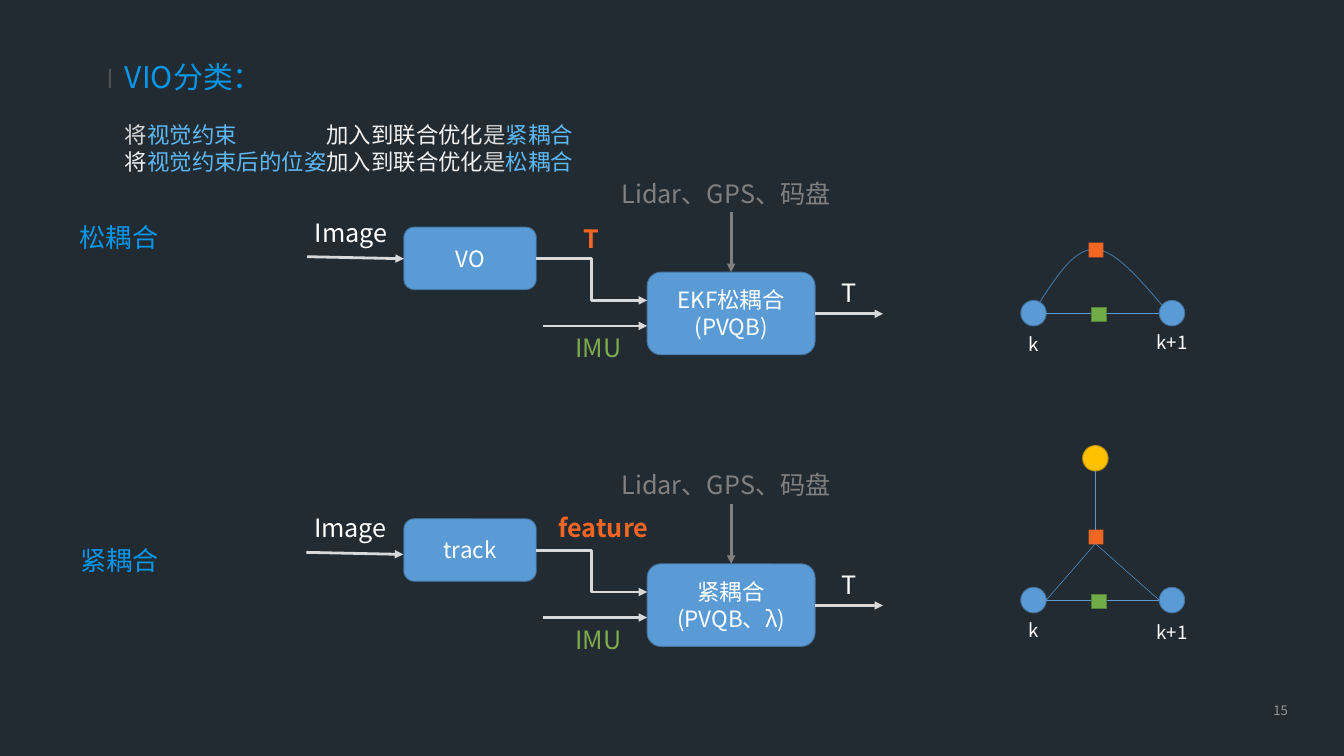
"""Build the slide on loosely and tightly coupled VIO."""
from lxml import etree
from pptx import Presentation
from pptx.dml.color import RGBColor
from pptx.enum.shapes import MSO_CONNECTOR, MSO_SHAPE
from pptx.enum.text import MSO_ANCHOR, MSO_AUTO_SIZE, PP_ALIGN
from pptx.oxml.ns import qn
from pptx.util import Inches, Pt

RECT, ROUND, OVAL = MSO_SHAPE.RECTANGLE, MSO_SHAPE.ROUNDED_RECTANGLE, MSO_SHAPE.OVAL
STRAIGHT, ELBOW = MSO_CONNECTOR.STRAIGHT, MSO_CONNECTOR.ELBOW
TOP, MIDDLE = MSO_ANCHOR.TOP, MSO_ANCHOR.MIDDLE
LEFT, CENTER = PP_ALIGN.LEFT, PP_ALIGN.CENTER
NO_FIT = MSO_AUTO_SIZE.NONE

FONT = "Noto Sans CJK SC"
NIGHT = RGBColor(0x22, 0x2B, 0x32)
WHITE = RGBColor(0xFF, 0xFF, 0xFF)
PALE = RGBColor(0xF2, 0xF2, 0xF2)
SILVER = RGBColor(0xD9, 0xD9, 0xD9)
GRAY = RGBColor(0x80, 0x80, 0x80)
AZURE = RGBColor(0x02, 0x96, 0xEB)
SKY = RGBColor(0x5D, 0xB8, 0xF6)
BLUE = RGBColor(0x5B, 0x9B, 0xD5)
NAVY = RGBColor(0x43, 0x73, 0x9E)
ORANGE = RGBColor(0xF2, 0x65, 0x22)
GREEN = RGBColor(0x70, 0xAD, 0x47)
FOREST = RGBColor(0x53, 0x80, 0x35)
LIME = RGBColor(0x7F, 0xAB, 0x4C)
GOLD = RGBColor(0xFF, 0xC0, 0x00)
BRONZE = RGBColor(0xBD, 0x8E, 0x00)

TITLE = "VIO分类："
SUMMARY = [
    [("将", SILVER), ("视觉约束\t", SKY), ("加入到联合优化", PALE), ("是", SILVER), ("紧耦合", SKY)],
    [("将", PALE), ("视觉约束后的位姿", SKY), ("加入到联合优化", PALE), ("是", SILVER), ("松耦合", SKY)],
]
HEADINGS = [("松耦合", 1.09, 3.34), ("紧耦合", 1.1, 8.16)]
FLOWS = [
    {"top": 2.6, "front": "VO", "back": ["EKF松耦合", "(PVQB)"],
     "signal": ("T", 8.5, 3.27, 0.61), "image": (4.44, 3.18)},
    {"top": 6.94, "front": "track", "back": ["紧耦合", "(PVQB、λ)"],
     "signal": ("feature", 7.99, 7.58, 1.98), "image": (4.43, 7.58)},
]
GRAPHS = [
    {"axis": 4.66, "vision": 3.61, "names": [("k", 15.08, 4.9, 0.61), ("k+1", 16.64, 4.87, 1.6)]},
    {"axis": 8.93, "vision": 7.88, "names": [("k", 15.08, 9.16, 0.61), ("k+1", 16.64, 9.19, 1.6)]},
]
CURVE = [(15.47, 4.5), (15.73, 4.1), (15.99, 3.7), (16.29, 3.71),
         (16.59, 3.72), (16.94, 4.13), (17.29, 4.54)]
NODE, FACTOR = 0.38, 0.22
NODE_LEFTS = (15.19, 17.25)
LINK_LEFT, LINK_MIDDLE, LINK_RIGHT = 15.57, 16.3, 17.25


def assign(target, **values):
    for name, value in values.items():
        setattr(target, name, value)


def set_alpha(fill, percent):
    color = fill._xPr.find(qn("a:solidFill"))[0]
    etree.SubElement(color, qn("a:alpha"), val=str(percent * 1000))


def write(shape, lines, size, color=WHITE, align=CENTER, anchor=TOP, bold=False, spacing=None,
          wrap=True, tab=None):
    frame = shape.text_frame
    assign(frame, word_wrap=wrap, auto_size=NO_FIT, vertical_anchor=anchor)
    for index, line in enumerate(lines):
        para = frame.add_paragraph() if index else frame.paragraphs[0]
        assign(para, alignment=align, line_spacing=spacing)
        if tab:
            stops = etree.SubElement(para._p.get_or_add_pPr(), qn("a:tabLst"))
            etree.SubElement(stops, qn("a:tab"), pos=str(Inches(tab)), algn="l")
        for text, shade in [(line, color)] if isinstance(line, str) else line:
            span = para.add_run()
            span.text = text
            assign(span.font, size=Pt(size), name=FONT, bold=bold)
            span.font.color.rgb = shade
            etree.SubElement(span._r.get_or_add_rPr(), qn("a:ea"), typeface=FONT)


def add_text(page, lines, left, top, width, height, size, **style):
    box = page.shapes.add_textbox(*map(Inches, (left, top, width, height)))
    write(box, lines, size, **style)
    return box


def add_label(page, text, left, top, width, color=WHITE, size=27, bold=False):
    height = 0.44 if size == 20 else 0.56
    add_text(page, [text], left, top, width, height, size, color=color, bold=bold)


def add_block(page, kind, left, top, width, height, color, edge=None):
    shape = page.shapes.add_shape(kind, *map(Inches, (left, top, width, height)))
    shape.shadow.inherit = False
    shape.fill.solid()
    shape.fill.fore_color.rgb = color
    if edge:
        shape.line.color.rgb = edge
        shape.line.width = Pt(1)
    else:
        shape.line.fill.background()
    return shape


def add_line(page, start, end, color=SILVER, width=3, kind=STRAIGHT, arrow=True):
    line = page.shapes.add_connector(kind, *map(Inches, (*start, *end)))
    line.line.color.rgb = color
    line.line.width = Pt(width)
    if arrow:
        etree.SubElement(line.line._get_or_add_ln(), qn("a:tailEnd"), type="triangle")
    etree.SubElement(line._element.spPr, qn("a:effectLst"))


def add_curve(page, points):
    corners = [(Inches(x), Inches(y)) for x, y in points]
    builder = page.shapes.build_freeform(*corners[0])
    builder.add_line_segments(corners[1:], close=False)
    curve = builder.convert_to_shape()
    segments = list(curve._element.iter(qn("a:lnTo")))
    for first in range(0, len(segments), 3):
        trio = segments[first:first + 3]
        bezier = etree.SubElement(trio[0].getparent(), qn("a:cubicBezTo"))
        for segment in trio:
            bezier.append(segment[0])
            segment.getparent().remove(segment)
    curve.shadow.inherit = False
    curve.fill.background()
    curve.line.color.rgb = NAVY
    curve.line.width = Pt(1)


def add_flow(page, flow):
    top = flow["top"]
    front = add_block(page, ROUND, 6.01, top + 0.78, 1.97, 0.93, BLUE, NAVY)
    write(front, [flow["front"]], 24, anchor=MIDDLE)
    back = add_block(page, ROUND, 9.63, top + 1.45, 2.5, 1.23, BLUE, NAVY)
    write(back, flow["back"], 24, anchor=MIDDLE)
    add_line(page, (7.98, top + 1.25), (9.63, top + 1.87), kind=ELBOW)
    add_line(page, (12.13, top + 2.07), (13.14, top + 2.07))
    add_line(page, (8.08, top + 2.25), (9.63, top + 2.25))
    add_line(page, (10.88, top + 0.56), (10.88, top + 1.45), GRAY)
    left, image_top = flow["image"]
    add_line(page, (left + 0.13, image_top + 0.64), (left + 1.57, image_top + 0.67))
    add_label(page, "Image", left, image_top, 1.57)
    add_label(page, *flow["signal"], color=ORANGE, bold=True)
    add_label(page, "IMU", 8.26, top + 2.3, 1.29, LIME)
    add_label(page, "T", 12.33, top + 1.48, 0.61)
    add_label(page, "Lidar、GPS、码盘", 8.8, top, 4.01, GRAY)


def add_graph(page, graph):
    axis = graph["axis"]
    for left in NODE_LEFTS:
        add_block(page, OVAL, left, axis - NODE / 2, NODE, NODE, BLUE, NAVY)
    add_line(page, (LINK_LEFT, axis), (LINK_RIGHT, axis), BLUE, 0.5, arrow=False)
    add_block(page, RECT, 16.24, axis - 0.09, FACTOR, FACTOR, GREEN, FOREST)
    for name in graph["names"]:
        add_label(page, *name, size=20)


def main():
    deck = Presentation()
    assign(deck, slide_width=Inches(20), slide_height=Inches(11.25))
    page = deck.slides.add_slide(deck.slide_layouts[5])
    page.background.fill.solid()
    page.background.fill.fore_color.rgb = NIGHT

    title = page.shapes.title
    assign(title, left=Inches(1.76), top=Inches(0.96), width=Inches(3.38), height=Inches(0.42))
    write(title, [TITLE], 32, AZURE, LEFT, MIDDLE, spacing=0.9)
    marker = add_block(page, RECT, 1.62, 1.03, 0.03, 0.28, WHITE)
    set_alpha(marker.fill, 20)
    number = add_text(page, ["15"], 18.85, 10.4, 0.56, 0.48, 14, align=LEFT)
    set_alpha(number.text_frame.paragraphs[0].runs[0].font.fill, 50)

    for text, left, top in HEADINGS:
        add_text(page, [text], left, top, 2.32, 0.42, 28, color=AZURE, align=LEFT,
                 anchor=MIDDLE, spacing=0.9)
    add_text(page, SUMMARY, 1.76, 1.76, 6.99, 0.91, 24, align=LEFT, wrap=False, tab=3)

    for flow in FLOWS:
        add_flow(page, flow)
    for graph in GRAPHS:
        add_graph(page, graph)
    add_curve(page, CURVE)
    for graph in GRAPHS:
        add_block(page, RECT, 16.2, graph["vision"], FACTOR, FACTOR, ORANGE)

    add_block(page, OVAL, 16.11, 6.63, NODE, NODE, GOLD, BRONZE)
    for start, end in [((LINK_MIDDLE, 7.01), (LINK_MIDDLE, 7.88)),
                       ((LINK_MIDDLE, 8.09), (LINK_LEFT, 8.93)),
                       ((LINK_MIDDLE, 8.09), (LINK_RIGHT, 8.93))]:
        add_line(page, start, end, BLUE, 0.5, arrow=False)
    deck.save("out.pptx")


if __name__ == "__main__":
    main()
